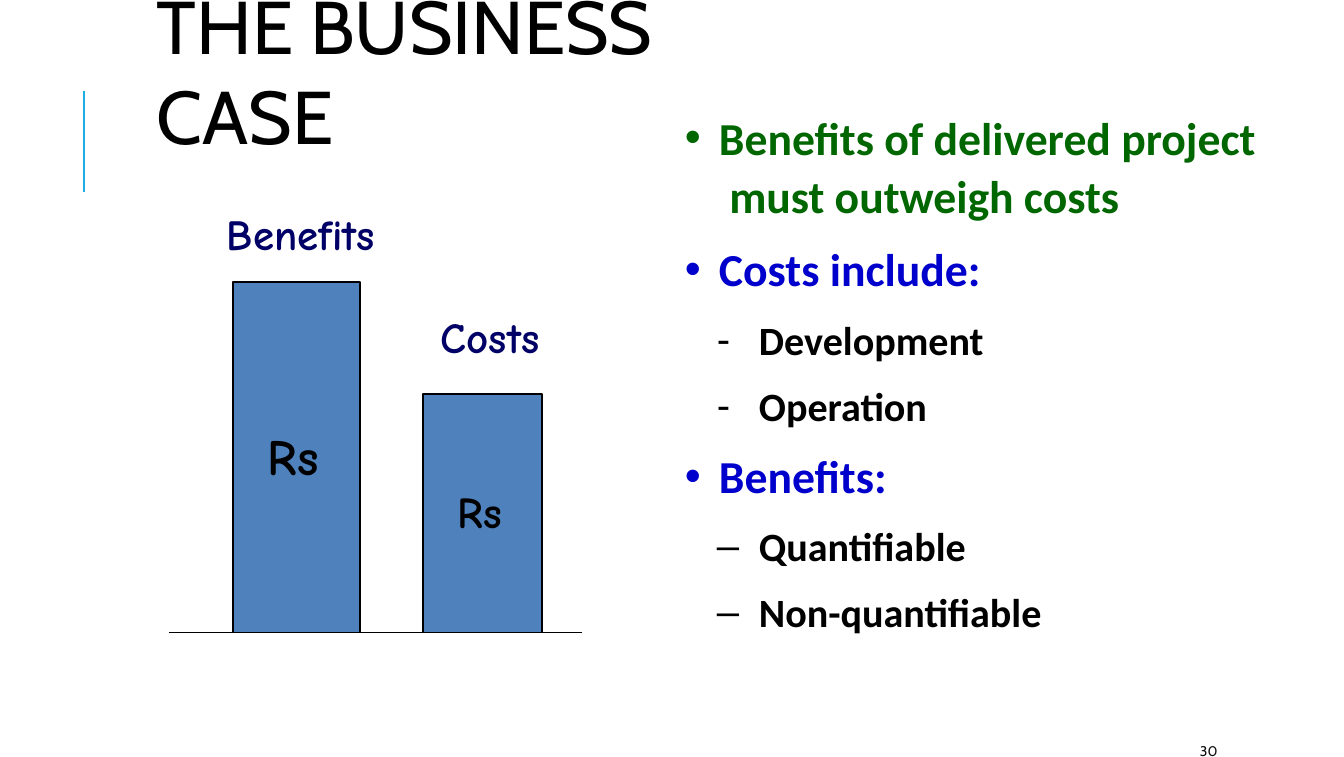
from lxml import etree
from pptx import Presentation, util as u
from pptx.dml.color import RGBColor
from pptx.enum import shapes, text
from pptx.oxml.ns import qn

PX = 914400 / 134.4
COLORS = {"black": "000000", "accent": "1CADE4", "bar": "4F81BC", "navy": "000066",
          "green": "006600", "blue": "0000CC", "number": "0D0D0D"}


def style(para, face, size, color, bold=False):
    para.alignment = text.PP_ALIGN.LEFT
    para.font.name = face
    para.font.size = u.Pt(size)
    para.font.bold = bold
    para.font.color.rgb = RGBColor.from_string(COLORS[color])


def place(box, left, top, width, height, anchor, inset=0):
    box.left, box.top, box.width, box.height = [
        round(n * PX) for n in (left, top, width, height)]
    frame = box.text_frame
    frame.word_wrap = True
    frame.auto_size = text.MSO_AUTO_SIZE.NONE
    frame.vertical_anchor = anchor
    frame.margin_left = round(inset * PX)
    frame.margin_top = frame.margin_right = frame.margin_bottom = 0
    return frame


TOP, MIDDLE = text.MSO_ANCHOR.TOP, text.MSO_ANCHOR.MIDDLE

deck = Presentation()
deck.slide_width, deck.slide_height = u.Inches(10), u.Inches(5.63)
page = deck.slides.add_slide(deck.slide_layouts[1])

title = place(page.shapes.title, 155, 22, 554, 95, MIDDLE, 2)
title.text = "THE BUSINESS CASE"
style(title.paragraphs[0], "Cabin", 40, "black")

items = [
    (0, "•", "Benefits of delivered project  must outweigh costs", "green", 0),
    (0, "•", "Costs include:", "blue", 10),
    (1, "-", "Development", "black", 10.5),
    (1, "-", "Operation", "black", 9.5),
    (0, "•", "Benefits:", "blue", 10),
    (1, "–", "Quantifiable", "black", 10),
    (1, "–", "Non-quantifiable", "black", 9.5),
]
body = place(page.placeholders[1], 683, 107, 575, 532, TOP)
for index, (level, bullet, wording, color, before) in enumerate(items):
    para = body.paragraphs[0] if index == 0 else body.add_paragraph()
    para.text = wording
    para.level = level
    para.space_before = u.Pt(before)
    para.line_spacing = 1.05 if index == 0 else 1.0
    margin, hang = ((36, 34), (76, 42))[level]
    props = para._p.get_or_add_pPr()
    props.set("marL", str(round(margin * PX)))
    props.set("indent", str(round(-hang * PX)))
    etree.SubElement(props, qn("a:buChar")).set("char", bullet)
    style(para, "Calibri", (24.5, 21.5)[level], color, True)

BASELINE = 632
for left, top, width, size in ((233, 282, 127, 27), (423, 394, 119, 23.5)):
    bar = page.shapes.add_shape(shapes.MSO_SHAPE.RECTANGLE, 0, 0, 0, 0)
    bar.shadow.inherit = False
    bar.fill.solid()
    bar.fill.fore_color.rgb = RGBColor.from_string(COLORS["bar"])
    bar.line.color.rgb = RGBColor.from_string(COLORS["black"])
    bar.line.width = u.Pt(0.72)
    frame = place(bar, left, top, width, BASELINE - top, MIDDLE, 35)
    frame.margin_bottom = round(4 * PX)
    frame.text = "Rs"
    style(frame.paragraphs[0], "Comic Neue", size, "black", True)

for x1, y1, x2, y2, color, weight in ((84, 192, 84, 91, "accent", 1.5),
                                      (169, BASELINE, 582, BASELINE, "black", 0.72)):
    line = page.shapes.add_connector(
        shapes.MSO_CONNECTOR.STRAIGHT, *[round(n * PX) for n in (x1, y1, x2, y2)])
    line.line.color.rgb = RGBColor.from_string(COLORS[color])
    line.line.width = u.Pt(weight)
    etree.SubElement(line._element.spPr, qn("a:effectLst"))

for wording, left, top, width in (("Benefits", 227, 207, 177), ("Costs", 441, 310, 114)):
    label = place(page.shapes.add_textbox(0, 0, 0, 0), left, top, width, 55, TOP)
    label.text = wording
    style(label.paragraphs[0], "Comic Neue", 23, "navy", True)

number = place(page.shapes.add_textbox(0, 0, 0, 0), 1195, 714, 108, 31, MIDDLE, 5)
number.text = "30"
number.paragraphs[0].line_spacing = u.Pt(31.4)
style(number.paragraphs[0], "Cabin", 7.5, "number")

deck.save("out.pptx")
